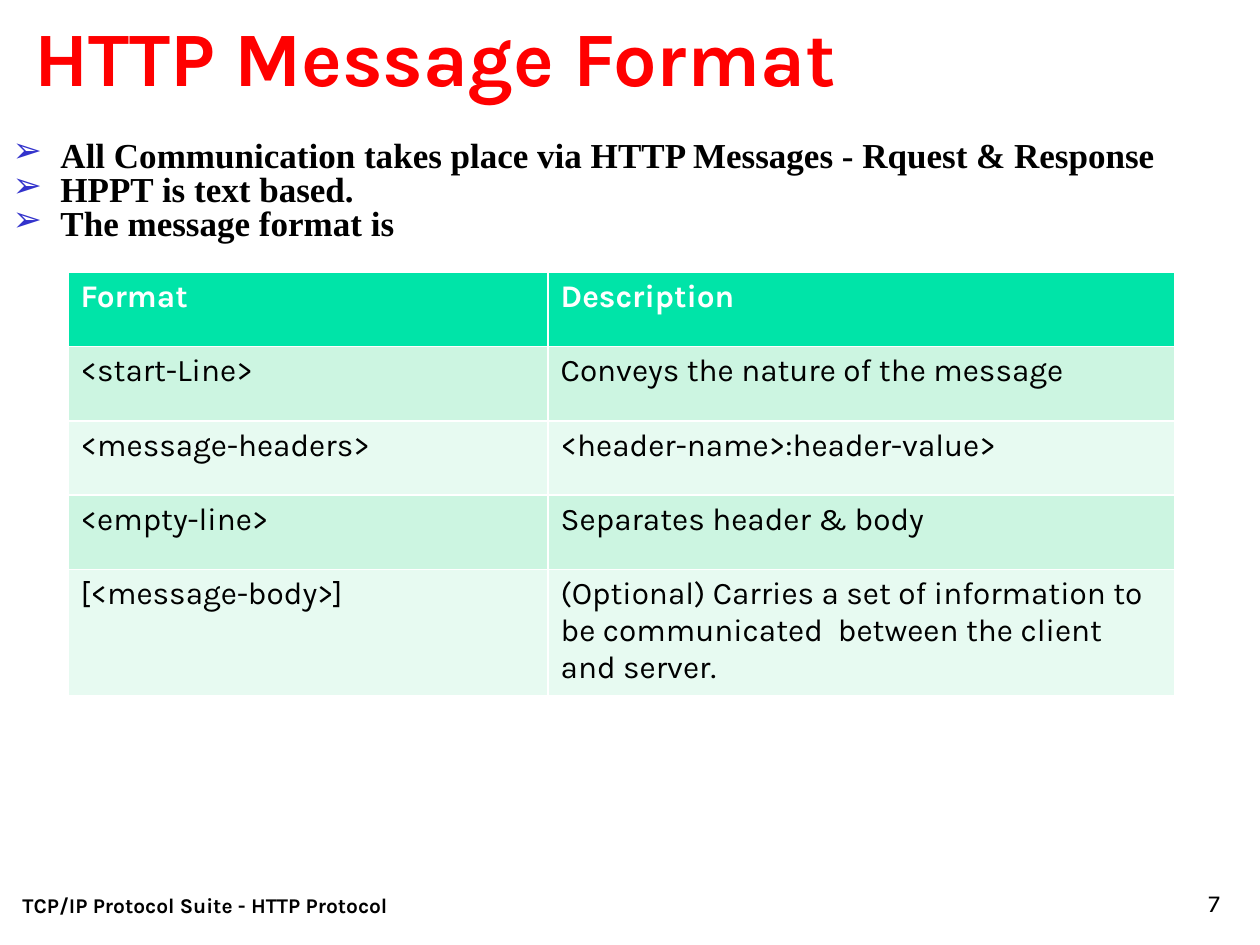
from lxml import etree
from pptx import Presentation
from pptx.dml.color import RGBColor
from pptx.enum.text import MSO_ANCHOR, MSO_AUTO_SIZE, PP_ALIGN
from pptx.oxml.ns import qn
from pptx.util import Pt

PX = 9144  # 100 px to the inch
LEFT, RIGHT = PP_ALIGN.LEFT, PP_ALIGN.RIGHT
MIDDLE, BOTTOM = MSO_ANCHOR.MIDDLE, MSO_ANCHOR.BOTTOM
NO_AUTOFIT = MSO_AUTO_SIZE.NONE


def color(value):
    return RGBColor.from_string(value)


def write(paragraph, text, size, fill="000000", **formats):
    run = paragraph.add_run()
    run.text = text
    settings = {"name": "Karla", "bold": False, "size": Pt(size), **formats}
    for name, value in settings.items():
        setattr(run.font, name, value)
    run.font.color.rgb = color(fill)


presentation = Presentation()
presentation.slide_width = 1000 * PX
presentation.slide_height = 750 * PX
slide = presentation.slides.add_slide(presentation.slide_layouts[1])
title, body = slide.placeholders[0], slide.placeholders[1]

# Placeholder positions
for shape, box in ((title, (17, 0, 900, 88)), (body, (0, 113, 983, 570))):
    shape.left, shape.top, shape.width, shape.height = [n * PX for n in box]
    shape.text_frame.auto_size = NO_AUTOFIT
    shape.text_frame.word_wrap = True

# Title
title.text_frame.vertical_anchor = MIDDLE
paragraph = title.text_frame.paragraphs[0]
paragraph.alignment = LEFT
write(paragraph, "HTTP Message Format", 44, "FF0000", bold=True)

# Bullet list
points = [
    "All Communication takes place via HTTP Messages - Rquest & Response",
    "HPPT is text based.",
    "The message format is",
]
body.text_frame.margin_top = 10 * PX
for index, point in enumerate(points):
    paragraph = body.text_frame.add_paragraph() if index else body.text_frame.paragraphs[0]
    properties = paragraph._p.get_or_add_pPr()
    properties.set("marL", str(38 * PX))
    properties.set("indent", str(-38 * PX))
    bullet_color = etree.SubElement(properties, qn("a:buClr"))
    etree.SubElement(bullet_color, qn("a:srgbClr"), val="3333CC")
    etree.SubElement(properties, qn("a:buChar"), char="➢")
    spacing = {
        "line_spacing": 0.4,
        "space_before": Pt(5 if index else 0),
        "space_after": Pt(5),
    }
    for name, value in spacing.items():
        setattr(paragraph, name, value)
    write(paragraph, point, 20, name="Times New Roman", bold=True)

# Footer and slide number
footers = [
    ("TCP/IP Protocol Suite - HTTP Protocol", 8, 468, LEFT, 12, True),
    ("7", 770, 208, RIGHT, 14, False),
]
for text, left, width, alignment, size, bold in footers:
    footer = slide.shapes.add_textbox(left * PX, 683 * PX, width * PX, 50 * PX)
    footer.text_frame.word_wrap = True
    footer.text_frame.vertical_anchor = BOTTOM
    paragraph = footer.text_frame.paragraphs[0]
    paragraph.alignment = alignment
    write(paragraph, text, size, bold=bold)

# Message format table
rows = [
    ("Format", "Description"),
    ("<start-Line>", "Conveys the nature of the message"),
    ("<message-headers>", "<header-name>:header-value>"),
    ("<empty-line>", "Separates header & body"),
    (
        "[<message-body>]",
        "(Optional) Carries a set of information to be communicated  between the client and server.",
    ),
]
column_widths = (381, 497)
row_height = 59
table = slide.shapes.add_table(
    len(rows), len(column_widths), 54 * PX, 216 * PX,
    sum(column_widths) * PX, len(rows) * row_height * PX,
).table
for column, width in zip(table.columns, column_widths):
    column.width = width * PX
for row_index, texts in enumerate(rows):
    is_header = row_index == 0
    band = "CCF5E1" if row_index % 2 else "E7FAF1"
    for column_index, text in enumerate(texts):
        cell = table.cell(row_index, column_index)
        cell.fill.solid()
        cell.fill.fore_color.rgb = color("00E4A8" if is_header else band)
        text_color = "FFFFFF" if is_header else "000000"
        write(cell.text_frame.paragraphs[0], text, 18, text_color, bold=is_header)

presentation.save("out.pptx")
